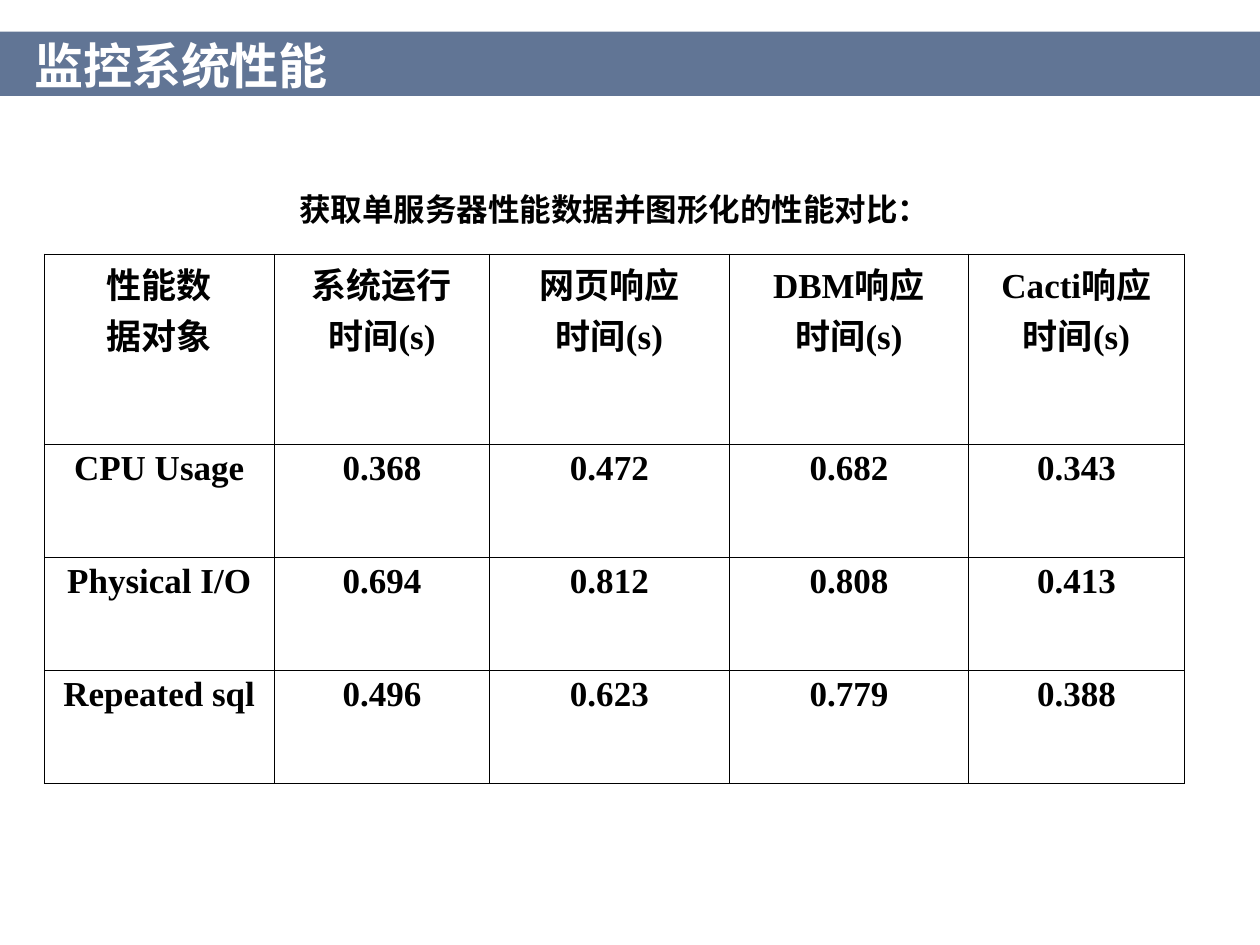
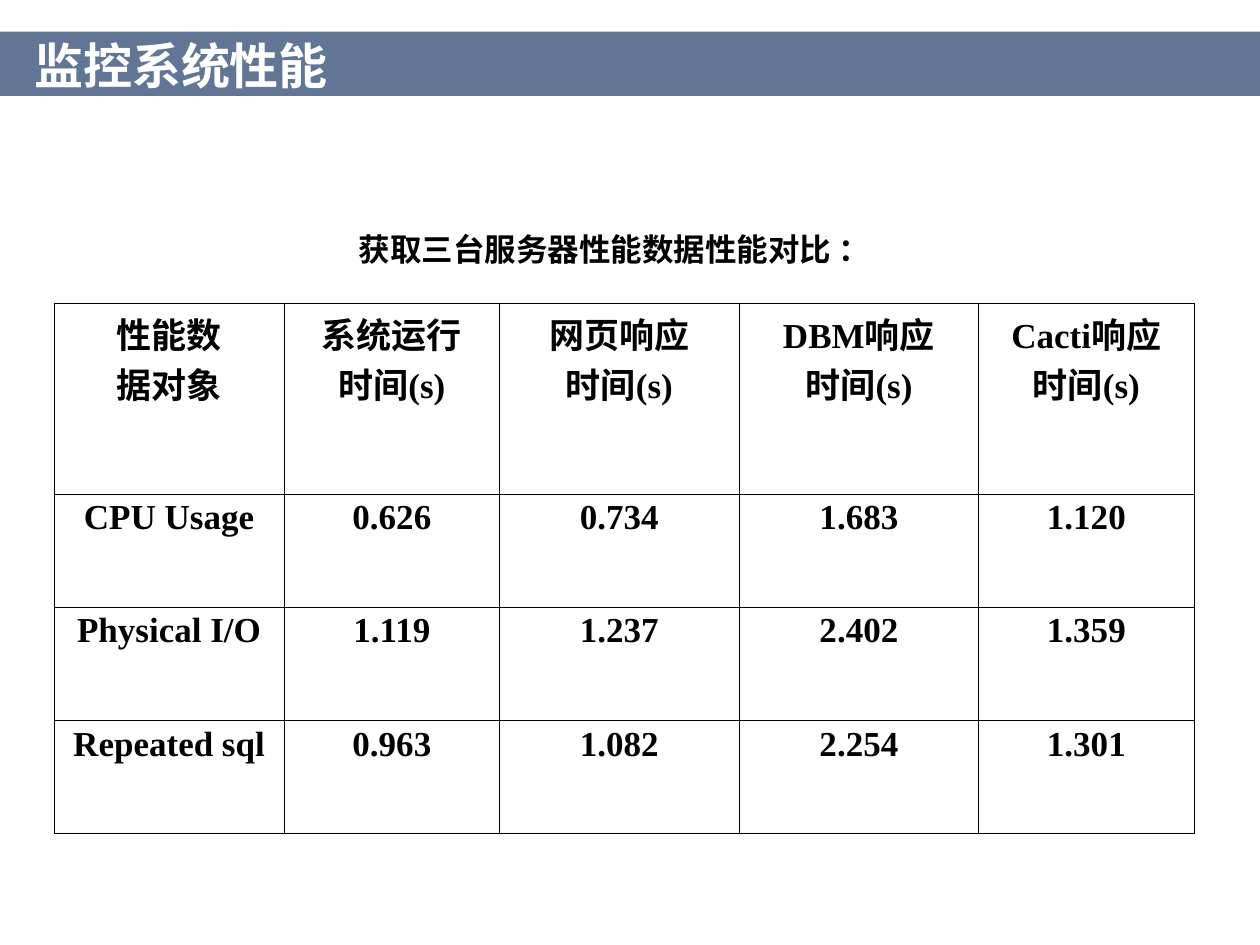
from dataclasses import dataclass

from lxml.etree import SubElement
from pptx import Presentation
from pptx.dml.color import RGBColor
from pptx.enum.shapes import MSO_CONNECTOR, MSO_SHAPE
from pptx.enum.text import MSO_ANCHOR as Anchor, MSO_AUTO_SIZE as AutoSize, PP_ALIGN as Align
from pptx.oxml.ns import qn
from pptx.util import Cm, Pt


@dataclass(frozen=True)
class Theme:
    band: str = "617595"
    light: str = "FFFFFF"
    dark: str = "000000"
    heading_font: str = "Arial"
    table_font: str = "Times New Roman"
    title_size: float = 28
    caption_size: float = 18
    table_size: float = 20
    rule_width: float = 1.25
    border_width: float = 0.45


SLIDE_WIDTH, SLIDE_HEIGHT = 25.4, 19.05
BAND_TOP, BAND_HEIGHT = 0.64, 1.32
CONTENT_WIDTH = 22.98
COLUMN_WIDTHS = (4.64, 4.34, 4.83, 4.83, 4.34)
HEADER_HEIGHT, ROW_HEIGHT = 3.84, 2.28

TITLE = "监控系统性能"
HEADERS = ("性能数\n据对象", "系统运行\n时间(s)", "网页响应\n时间(s)",
           "DBM响应\n时间(s)", "Cacti响应\n时间(s)")
METRICS = ("CPU Usage", "Physical I/O", "Repeated sql")


class Deck:
    def __init__(self, theme):
        self.theme = theme
        self.presentation = Presentation()
        self.presentation.slide_width = Cm(SLIDE_WIDTH)
        self.presentation.slide_height = Cm(SLIDE_HEIGHT)
        self.slide = None

    def add_slide(self, title):
        layout = self.presentation.slide_layouts.get_by_name("Title Only")
        self.slide = self.presentation.slides.add_slide(layout)
        self.band()
        self.title(title)

    def format_paragraph(self, paragraph, font_name, size, color, alignment, spacing):
        paragraph.alignment = alignment
        paragraph.line_spacing = spacing
        font = paragraph.font
        font.name, font.size, font.bold = font_name, Pt(size), True
        font.color.rgb = RGBColor.from_string(color)

    def heading(self, shape, text, size, color, alignment):
        frame = shape.text_frame
        frame.margin_left = frame.margin_right = frame.margin_top = frame.margin_bottom = 0
        frame.word_wrap = True
        frame.auto_size = AutoSize.SHAPE_TO_FIT_TEXT
        frame.vertical_anchor = Anchor.MIDDLE
        frame.text = text
        self.format_paragraph(frame.paragraphs[0], self.theme.heading_font, size, color,
                              alignment, 0.9)

    def band(self):
        shapes = self.slide.shapes
        band = shapes.add_shape(MSO_SHAPE.RECTANGLE, 0, Cm(BAND_TOP),
                                Cm(SLIDE_WIDTH), Cm(BAND_HEIGHT))
        band.shadow.inherit = False
        band.fill.solid()
        band.fill.fore_color.rgb = RGBColor.from_string(self.theme.band)
        band.line.fill.background()

        bottom = Cm(BAND_TOP + BAND_HEIGHT)
        rule = shapes.add_connector(MSO_CONNECTOR.STRAIGHT, Cm(SLIDE_WIDTH), bottom, 0, bottom)
        rule.line.color.rgb = RGBColor.from_string(self.theme.light)
        rule.line.width = Pt(self.theme.rule_width)
        SubElement(rule.element.spPr, qn("a:effectLst"))

    def title(self, text):
        title = self.slide.shapes.title
        self.slide.shapes.element.append(title.element)  # bring in front of the band
        title.left, title.top = Cm(0.69), Cm(0.84)
        title.width, title.height = Cm(CONTENT_WIDTH), Cm(1.07)
        self.heading(title, text, self.theme.title_size, self.theme.light, Align.LEFT)

    def caption(self, text, top):
        box = self.slide.shapes.add_textbox(Cm(0.89), Cm(top), Cm(CONTENT_WIDTH), Cm(0.69))
        self.heading(box, text, self.theme.caption_size, self.theme.dark, Align.CENTER)

    def table(self, rows, left, top):
        heights = [HEADER_HEIGHT] + [ROW_HEIGHT] * (len(rows) - 1)
        table = self.slide.shapes.add_table(
            len(rows), len(COLUMN_WIDTHS), Cm(left), Cm(top),
            Cm(CONTENT_WIDTH), Cm(sum(heights))).table
        table.first_row = table.horz_banding = False
        for column, width in zip(table.columns, COLUMN_WIDTHS):
            column.width = Cm(width)
        for row, height, texts in zip(table.rows, heights, rows):
            row.height = Cm(height)
            for cell, text in zip(row.cells, texts):
                self.cell(cell, text)

    def cell(self, cell, text):
        cell.text = text
        # Only the first line is tightened
        for index, paragraph in enumerate(cell.text_frame.paragraphs):
            self.format_paragraph(paragraph, self.theme.table_font, self.theme.table_size,
                                  self.theme.dark, Align.CENTER, 1.0 if index else 0.95)
        # Borders come before the fill in the cell properties
        properties = cell._tc.get_or_add_tcPr()
        for side in ("a:lnL", "a:lnR", "a:lnT", "a:lnB"):
            line = SubElement(properties, qn(side), w=str(Pt(self.theme.border_width)))
            fill = SubElement(line, qn("a:solidFill"))
            SubElement(fill, qn("a:srgbClr"), val=self.theme.dark)
        cell.fill.background()


def comparison_slide(deck, caption, caption_top, table_left, table_top, timings):
    deck.add_slide(TITLE)
    rows = [HEADERS] + [(metric, *values) for metric, values in zip(METRICS, timings)]
    deck.table(rows, table_left, table_top)
    deck.caption(caption, caption_top)


def main():
    deck = Deck(Theme())

    # Single server
    comparison_slide(deck, "获取单服务器性能数据并图形化的性能对比：", 3.92, 0.89, 5.12, (
        ("0.368", "0.472", "0.682", "0.343"),
        ("0.694", "0.812", "0.808", "0.413"),
        ("0.496", "0.623", "0.779", "0.388")))

    # Three servers
    comparison_slide(deck, "获取三台服务器性能数据性能对比 ：", 4.72, 1.09, 6.12, (
        ("0.626", "0.734", "1.683", "1.120"),
        ("1.119", "1.237", "2.402", "1.359"),
        ("0.963", "1.082", "2.254", "1.301")))

    deck.presentation.save("out.pptx")


if __name__ == "__main__":
    main()
